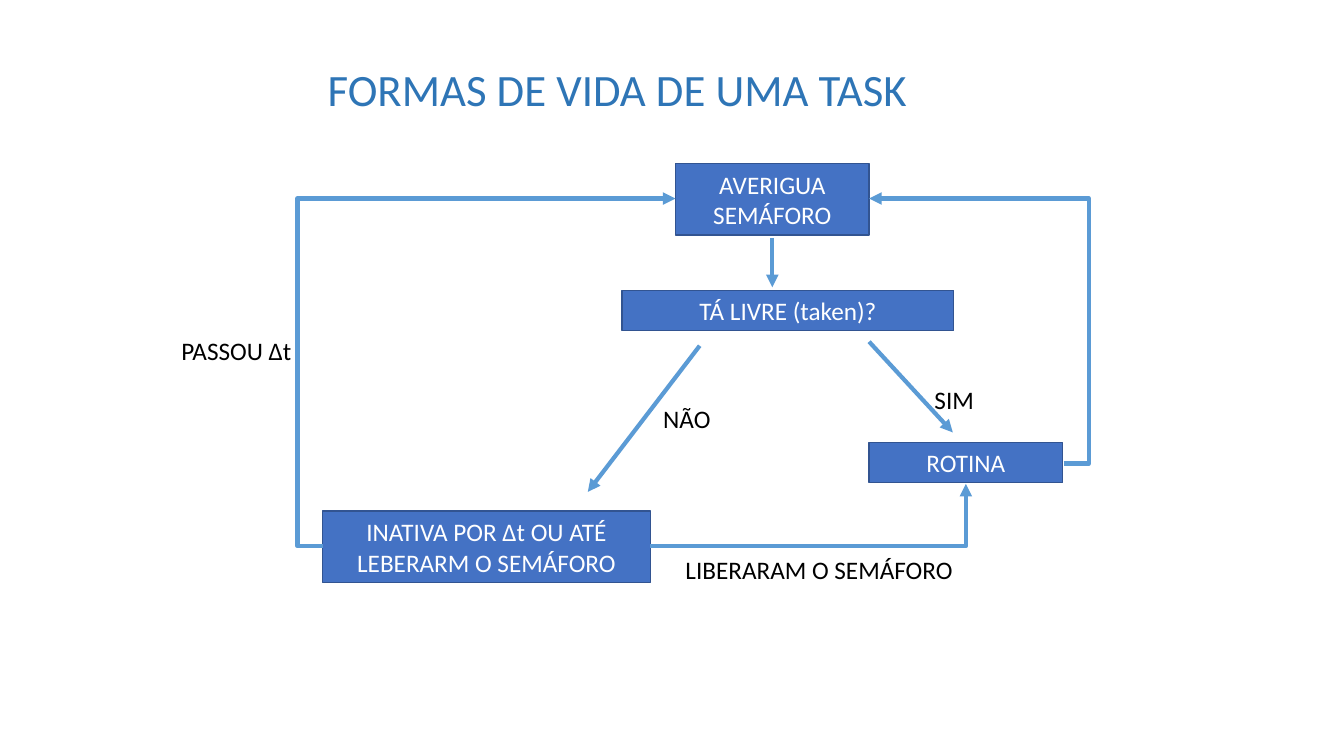
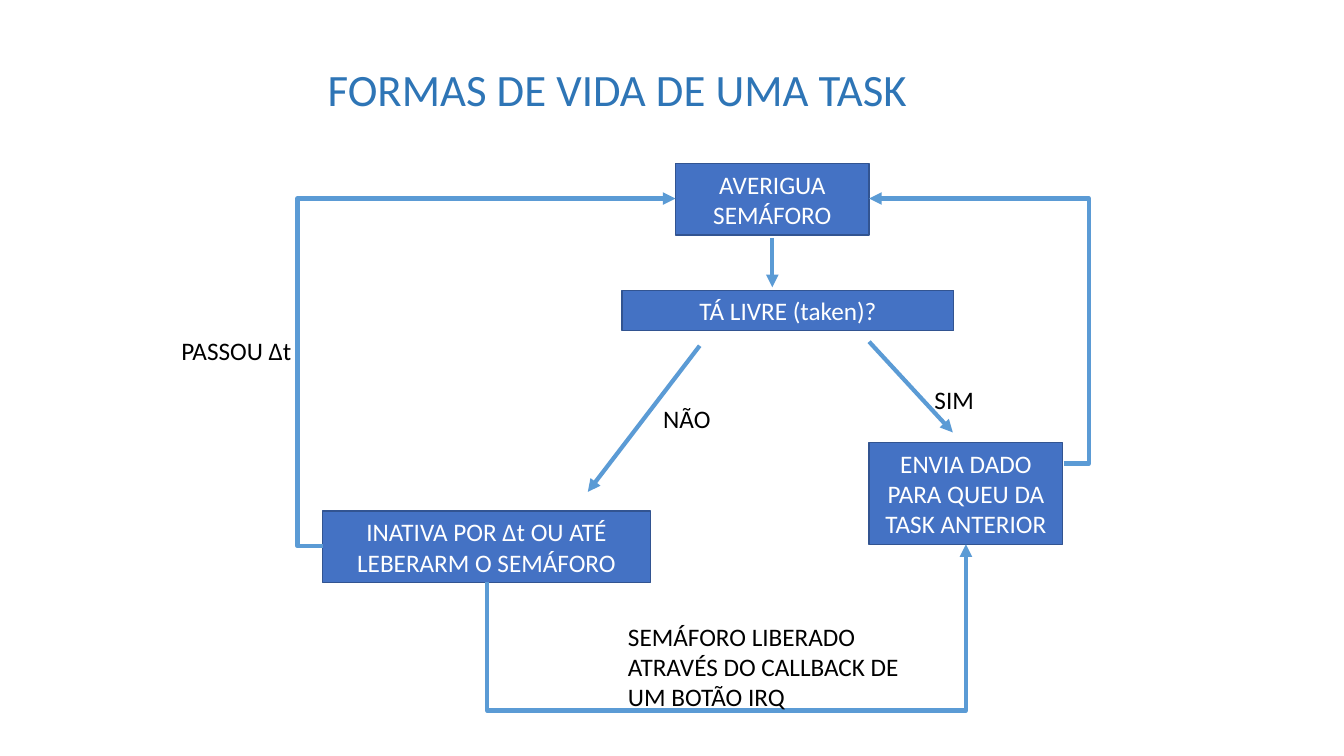
from dataclasses import dataclass

from lxml.etree import SubElement
from pptx import Presentation
from pptx.dml.color import RGBColor
from pptx.enum.shapes import MSO_CONNECTOR, MSO_SHAPE
from pptx.enum.text import MSO_ANCHOR, PP_ALIGN
from pptx.oxml.ns import qn
from pptx.util import Inches, Pt


@dataclass(frozen=True)
class Theme:
    font: str = "Calibri"
    title: RGBColor = RGBColor(0x2E, 0x75, 0xB6)
    box: RGBColor = RGBColor(0x44, 0x72, 0xC4)
    border: RGBColor = RGBColor(0x32, 0x54, 0x91)
    arrow: RGBColor = RGBColor(0x5B, 0x9B, 0xD5)
    light: RGBColor = RGBColor(0xFF, 0xFF, 0xFF)
    dark: RGBColor = RGBColor(0x00, 0x00, 0x00)
    title_size: int = 32
    body_size: int = 18
    border_width: int = 1
    arrow_width: int = 3


class FlowDeck:
    """Draws flow diagrams slide by slide in one shared style."""

    def __init__(self, theme):
        self.theme = theme
        self.presentation = Presentation()
        self.presentation.slide_width = Inches(13.33)
        self.presentation.slide_height = Inches(7.5)
        self.slide = None

    def new_slide(self, title):
        self.slide = self.presentation.slides.add_slide(self.presentation.slide_layouts[6])
        self.label(title, 1.52, 0.56, 9.21, 0.64, self.theme.title_size,
                   self.theme.title, PP_ALIGN.CENTER)

    def fill_text(self, shape, text, size, color, alignment):
        frame = shape.text_frame
        frame.word_wrap = True
        paragraph = frame.paragraphs[0]
        paragraph.alignment = alignment
        run = paragraph.add_run()
        run.text = text
        run.font.name = self.theme.font
        run.font.size = Pt(size)
        run.font.color.rgb = color

    def label(self, text, left, top, width, height=0.4, size=None, color=None,
              alignment=PP_ALIGN.LEFT):
        shape = self.slide.shapes.add_textbox(
            Inches(left), Inches(top), Inches(width), Inches(height))
        self.fill_text(shape, text, size or self.theme.body_size,
                       color or self.theme.dark, alignment)

    def box(self, text, left, top, width, height):
        shape = self.slide.shapes.add_shape(
            MSO_SHAPE.RECTANGLE, Inches(left), Inches(top), Inches(width), Inches(height))
        shape.shadow.inherit = False
        shape.fill.solid()
        shape.fill.fore_color.rgb = self.theme.box
        shape.line.color.rgb = self.theme.border
        shape.line.width = Pt(self.theme.border_width)
        shape.text_frame.vertical_anchor = MSO_ANCHOR.MIDDLE
        self.fill_text(shape, text, self.theme.body_size, self.theme.light, PP_ALIGN.CENTER)

    def arrow(self, start, end, kind=MSO_CONNECTOR.STRAIGHT):
        connector = self.slide.shapes.add_connector(
            kind, *(Inches(value) for value in (*start, *end)))
        connector.line.color.rgb = self.theme.arrow
        connector.line.width = Pt(self.theme.arrow_width)
        properties = connector.element.spPr
        SubElement(properties.find(qn("a:ln")), qn("a:tailEnd"), type="triangle")
        SubElement(properties, qn("a:effectLst"))
        return properties

    def corner_arrow(self, start, end):
        properties = self.arrow(start, end, MSO_CONNECTOR.ELBOW)
        properties.find(qn("a:prstGeom")).set("prst", "bentConnector2")

    def side_arrow(self, start, end, lane):
        properties = self.arrow(start, end, MSO_CONNECTOR.ELBOW)
        self.set_lane(properties, (lane - start[0]) / (end[0] - start[0]))

    def under_arrow(self, start, end, lane):
        (x1, y1), (x2, y2) = start, end
        middle_x, middle_y = (x1 + x2) / 2, (y1 + y2) / 2
        half_x, half_y = (y2 - y1) / 2, (x1 - x2) / 2
        properties = self.arrow((middle_x - half_x, middle_y - half_y),
                                (middle_x + half_x, middle_y + half_y), MSO_CONNECTOR.ELBOW)
        properties.find(qn("a:xfrm")).set("rot", "5400000")
        self.set_lane(properties, (lane - y1) / (y2 - y1))

    def set_lane(self, properties, ratio):
        geometry = properties.find(qn("a:prstGeom"))
        SubElement(geometry.find(qn("a:avLst")), qn("a:gd"), name="adj1",
                   fmla=f"val {round(ratio * 100000)}")

    def task_flow(self, routine, routine_height):
        self.new_slide("FORMAS DE VIDA DE UMA TASK")
        self.box("AVERIGUA SEMÁFORO", 6.7, 1.62, 1.92, 0.71)
        self.box("TÁ LIVRE (taken)?", 6.17, 2.88, 3.29, 0.4)
        self.box(routine, 8.62, 4.39, 1.92, routine_height)
        self.box("INATIVA POR ∆t OU ATÉ LEBERARM O SEMÁFORO", 3.2, 5.07, 3.25, 0.71)
        self.arrow((6.94, 3.43), (5.83, 4.88))
        self.arrow((8.62, 3.39), (9.45, 4.29))
        self.arrow((7.66, 2.36), (7.66, 2.85))
        self.side_arrow((10.55, 4.6), (8.62, 1.97), 10.8)
        self.side_arrow((3.2, 5.42), (6.7, 1.97), 2.95)
        self.label("SIM", 9.17, 3.76, 0.76)
        self.label("NÃO", 6.48, 3.95, 0.7)
        self.label("PASSOU ∆t", 1.7, 3.28, 1.33)


def main():
    deck = FlowDeck(Theme())

    deck.task_flow("ROTINA", 0.4)
    deck.corner_arrow((6.45, 5.42), (9.58, 4.8))
    deck.label("LIBERARAM O SEMÁFORO", 6.7, 5.45, 2.91)

    deck.task_flow("ENVIA DADO PARA QUEU DA TASK ANTERIOR", 1.01)
    deck.under_arrow((4.83, 5.77), (9.58, 5.4), 7.05)
    deck.label("SEMÁFORO LIBERADO ATRAVÉS DO CALLBACK DE UM BOTÃO IRQ", 6.13, 6.11, 2.91, 1.01)

    deck.presentation.save("out.pptx")


if __name__ == "__main__":
    main()
